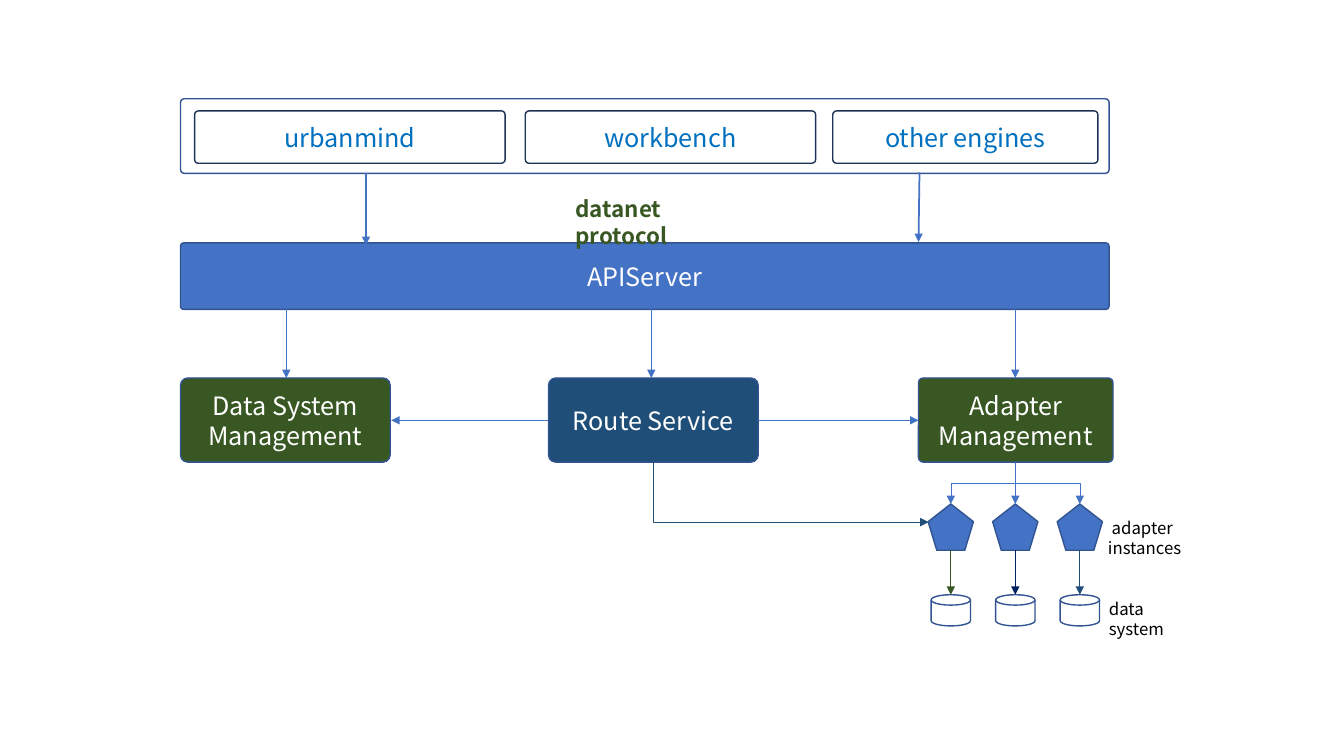
"""Build the data network architecture slide on a grid of tenth-inch cells."""
from lxml.etree import SubElement
from pptx import Presentation
from pptx.dml.color import RGBColor
from pptx.enum.shapes import MSO_CONNECTOR as CONN, MSO_SHAPE as SHAPE
from pptx.enum.text import MSO_ANCHOR as ANCHOR, PP_ALIGN as ALIGN
from pptx.oxml.ns import qn
from pptx.util import Inches, Pt

FONT = "Noto Sans CJK SC"
COLORS = {k: RGBColor.from_string(v) for k, v in {
    "blue": "4472C4", "edge": "325491", "navy": "1F4E79", "green": "385723",
    "ink": "1E3256", "midnight": "002060", "sky": "0070C0",
    "white": "FFFFFF", "black": "000000"}.items()}
CELL = Inches(0.1)

prs = Presentation()
prs.slide_width, prs.slide_height = Inches(13.33), Inches(7.5)
s = prs.slides.add_slide(prs.slide_layouts[6])


def box(kind, x, y, w, h, fill=None, line="edge", text="", color="white", adj=None):
    sp = s.shapes.add_shape(kind, *(round(v * CELL) for v in (x, y, w, h)))
    sp.shadow.inherit = False
    if fill:
        sp.fill.solid()
        sp.fill.fore_color.rgb = COLORS[fill]
    else:
        sp.fill.background()
    sp.line.color.rgb = COLORS[line]
    sp.line.width = Pt(1)
    if adj:
        sp.adjustments[0] = adj
    if text:
        tf = sp.text_frame
        tf.word_wrap = True
        tf.vertical_anchor = ANCHOR.MIDDLE
        tf.text = text
        for p in tf.paragraphs:
            p.alignment = ALIGN.CENTER
            p.font.name, p.font.size = FONT, Pt(18)
            p.font.color.rgb = COLORS[color]


def arrow(x1, y1, x2, y2, width=0.5, color="blue", elbow=None):
    ends = x1, y1, x2, y2
    if elbow:
        w, h = abs(y2 - y1), abs(x2 - x1)
        left, top = (x1 + x2 - w) / 2, (y1 + y2 - h) / 2
        ends = left, top, left + w, top + h
    c = s.shapes.add_connector(CONN.ELBOW if elbow else CONN.STRAIGHT,
                               *(round(v * CELL) for v in ends))
    spPr = c._element.spPr
    if elbow:
        xfrm = spPr.find(qn("a:xfrm"))
        xfrm.set("rot", str((270 if x2 > x1 else 90) * 60000))
        if x2 > x1:
            xfrm.set("flipH", "1")
        spPr.find(qn("a:prstGeom")).set("prst", elbow)
    c.line.color.rgb = COLORS[color]
    c.line.width = Pt(width)
    SubElement(c.line._get_or_add_ln(), qn("a:tailEnd"), type="triangle")
    SubElement(spPr, qn("a:effectLst"))


LEFT, BAR_W = 17.9, 92.1
SERVICE_Y, SERVICE_H = 37.5, 8.35
SERVICE_END = SERVICE_Y + SERVICE_H
API_Y, API_H = 24.1, 6.6
ADAPTER_X = 100.7

services = [
    (54.4, 20.8, "navy", "Route Service", 0.087),
    (91.1, 19.3, "green", "Adapter Management", 0.057),
    (LEFT, 20.8, "green", "Data System\nManagement", 0.087)]
for x, w, fill, text, adj in services:
    box(SHAPE.ROUNDED_RECTANGLE, x, SERVICE_Y, w, SERVICE_H, fill, text=text, adj=adj)
for x1, x2 in [(54.4, 38.8), (75.2, 91.1)]:
    arrow(x1, 41.7, x2, 41.7)

for i, color in enumerate(["green", "midnight", "navy"]):
    x = ADAPTER_X + (i - 1) * 6.4
    box(SHAPE.REGULAR_PENTAGON, x - 2.25, 50, 4.5, 4.6, "blue")
    box(SHAPE.FLOWCHART_MAGNETIC_DISK, x - 1.95, 59, 3.9, 3.1)
    arrow(ADAPTER_X, SERVICE_END, x, 50, 0.25, elbow="bentConnector3")
    arrow(x, 54.6, x, 59, 0.75, color)
arrow(64.8, SERVICE_END, 92.1, 51.8, 0.75, "navy", "bentConnector2")

box(SHAPE.ROUNDED_RECTANGLE, LEFT, API_Y, BAR_W, API_H, "blue", text="APIServer", adj=0.05)
for x in (28.4, 64.6, ADAPTER_X):
    arrow(x, API_Y + API_H, x, SERVICE_Y)

box(SHAPE.ROUNDED_RECTANGLE, LEFT, 9.8, BAR_W, 7.4, adj=0.05)
for x, w, text in [(52.1, 28.8, "workbench"), (19.3, 30.8, "urbanmind"),
                   (82.6, 26.3, "other engines")]:
    box(SHAPE.ROUNDED_RECTANGLE, x, 11, w, 5.2, line="ink", text=text,
        color="sky", adj=0.072)
arrow(36.3, 17.2, 36.3, 24.3, 1.25)
arrow(91.2, 17.1, 91.1, 24, 1.25)

labels = [
    (56.1, 18.9, 19.1, 3.7, "datanet protocol", 16, "green", True),
    (108.9, 50.9, 15.1, 3, " adapter instances", 12, "black", False),
    (109, 58.9, 10.6, 3, "data system", 12, "black", False)]
for x, y, w, h, text, size, color, bold in labels:
    tf = s.shapes.add_textbox(*(round(v * CELL) for v in (x, y, w, h))).text_frame
    tf.word_wrap = True
    p = tf.paragraphs[0]
    p.text = text
    p.font.name, p.font.size, p.font.bold = FONT, Pt(size), bold
    p.font.color.rgb = COLORS[color]

prs.save("out.pptx")
